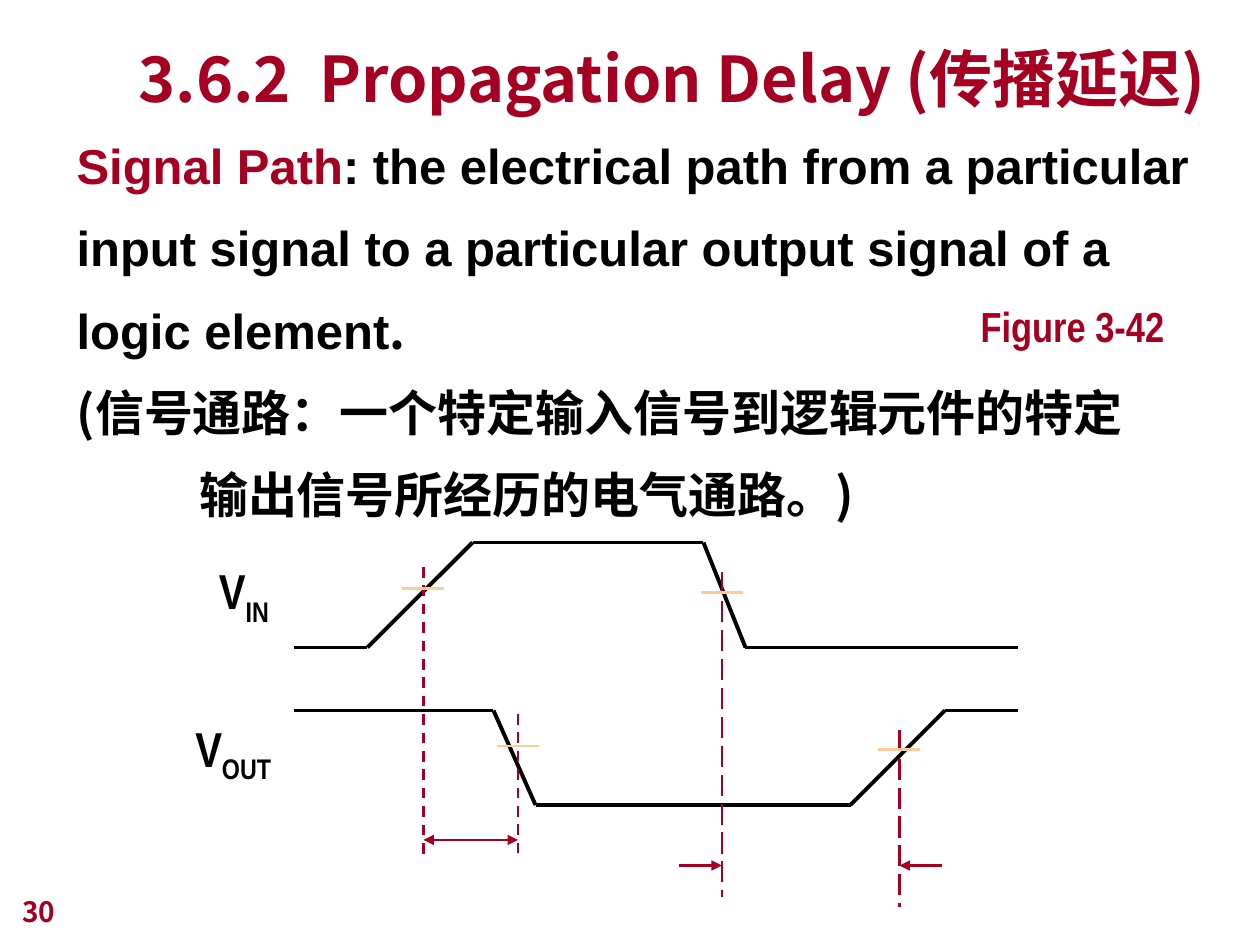
"""Build the propagation delay slide with its timing diagram."""
import pptx
import pptx.dml.color
import pptx.enum.dml
import pptx.enum.shapes
import pptx.enum.text
import pptx.oxml.ns
import pptx.util
from lxml import etree

Pt = pptx.util.Pt
ANCHOR = pptx.enum.text.MSO_ANCHOR
ALIGN = pptx.enum.text.PP_ALIGN
DASH = pptx.enum.dml.MSO_LINE
RED, BLACK, PEACH = "A50021", "000000", "FFCC99"
JP, SC = "Noto Sans CJK JP", "Noto Sans CJK SC"
NARROW = "Arial Narrow"

TITLE = "3.6.2  Propagation Delay (传播延迟)"
BODY = [
    (0, [("Signal Path", "Arial", RED),
         (": the electrical path from a particular input signal to a particular "
          "output signal of a logic element", "Arial", BLACK),
         (".", SC, BLACK)]),
    (0, [("(信号通路：一个特定输入信号到逻辑元件的特定", SC, BLACK)]),
    (70, [("输出信号所经历的电气通路。)", SC, BLACK)]),
]
SIGNALS = [("V", "IN", (118, 317, 43, 45)), ("V", "OUT", (104.5, 407, 58, 45))]
WAVES = [
    [(168, 370), (210, 370), (270, 310), (402, 310), (426, 370), (582, 370)],
    [(168, 406), (282, 406), (306, 460), (486, 460), (540, 406), (582, 406)],
]
MARKERS = [
    (242, 324, 492, 336.2, DASH.DASH),
    (296, 408, 492, 426.2, DASH.DASH),
    (412.5, 327, 512.5, 338.4, DASH.LONG_DASH),
    (514, 417, 518.5, 428.4, DASH.LONG_DASH),
]
ARROWS = [
    (242, 296, 480, ("headEnd", "tailEnd")),
    (388, 412.5, 494.6, ("tailEnd",)),
    (538.5, 514, 494.6, ("tailEnd",)),
]
TICK = 12


def rgb(value):
    return pptx.dml.color.RGBColor.from_string(value)


def add_run(p, text, size, font, color, baseline=None):
    r = p.add_run()
    r.text = text
    r.font.size, r.font.bold, r.font.name = Pt(size), True, font
    r.font.color.rgb = rgb(color)
    rpr = r.font._element
    if font in (JP, SC):
        etree.SubElement(rpr, pptx.oxml.ns.qn("a:ea"), typeface=font)
    if baseline:
        rpr.set("baseline", str(baseline))


def add_box(s, box, wrap=False, anchor=ANCHOR.TOP):
    tf = s.shapes.add_textbox(*map(Pt, box)).text_frame
    tf.word_wrap = wrap
    tf.vertical_anchor = anchor
    return tf


def add_line(s, start, end, color, width=1.5, dash=None, heads=()):
    sp = s.shapes.add_connector(pptx.enum.shapes.MSO_CONNECTOR.STRAIGHT,
                                *map(Pt, start + end))
    sp.line.color.rgb = rgb(color)
    sp.line.width = Pt(width)
    if dash:
        sp.line.dash_style = dash
    for head in heads:
        etree.SubElement(sp.line._get_or_add_ln(),
                         pptx.oxml.ns.qn("a:" + head), type="triangle")
    etree.SubElement(sp._element.spPr, pptx.oxml.ns.qn("a:effectLst"))


def add_text(s):
    sp = s.shapes.title
    sp.left, sp.top, sp.width, sp.height = map(Pt, (51, 9.4, 666, 60))
    tf = sp.text_frame
    tf.word_wrap, tf.vertical_anchor = True, ANCHOR.BOTTOM
    tf.auto_size = pptx.enum.text.MSO_AUTO_SIZE.NONE
    tf.paragraphs[0].alignment = ALIGN.CENTER
    add_run(tf.paragraphs[0], TITLE, 36, JP, RED)

    tf = add_box(s, (36.7, 60.5, 663, 242.6), wrap=True)
    for i, (indent, runs) in enumerate(BODY):
        p = tf.paragraphs[0] if i == 0 else tf.add_paragraph()
        p.line_spacing = 1.4
        if indent:
            p._p.get_or_add_pPr().set("marL", str(Pt(indent)))
        for text, font, color in runs:
            add_run(p, text, 28, font, color)

    for name, sub, box in SIGNALS:
        p = add_box(s, box).paragraphs[0]
        add_run(p, name, 28, NARROW, BLACK)
        add_run(p, sub, 28, NARROW, BLACK, -25000)

    p = add_box(s, (553.3, 168, 130, 36), True).paragraphs[0]
    add_run(p, "Figure 3-42", 24, NARROW, RED)
    p = add_box(s, (5.8, 498, 150, 36), True, ANCHOR.BOTTOM).paragraphs[0]
    add_run(p, "30", 16, JP, RED)


def add_diagram(s):
    for wave in WAVES:
        for start, end in zip(wave, wave[1:]):
            add_line(s, start, end, BLACK, 2.25)
    for x, top, bottom, middle, dash in MARKERS:
        add_line(s, (x, top), (x, bottom), RED, dash=dash)
        add_line(s, (x - TICK, middle), (x + TICK, middle), PEACH)
    for x1, x2, y, heads in ARROWS:
        add_line(s, (x1, y), (x2, y), RED, heads=heads)


def main():
    prs = pptx.Presentation()
    prs.slide_width, prs.slide_height = Pt(720), Pt(540)
    s = prs.slides.add_slide(prs.slide_layouts[5])
    add_text(s)
    add_diagram(s)
    prs.save("out.pptx")


if __name__ == "__main__":
    main()
